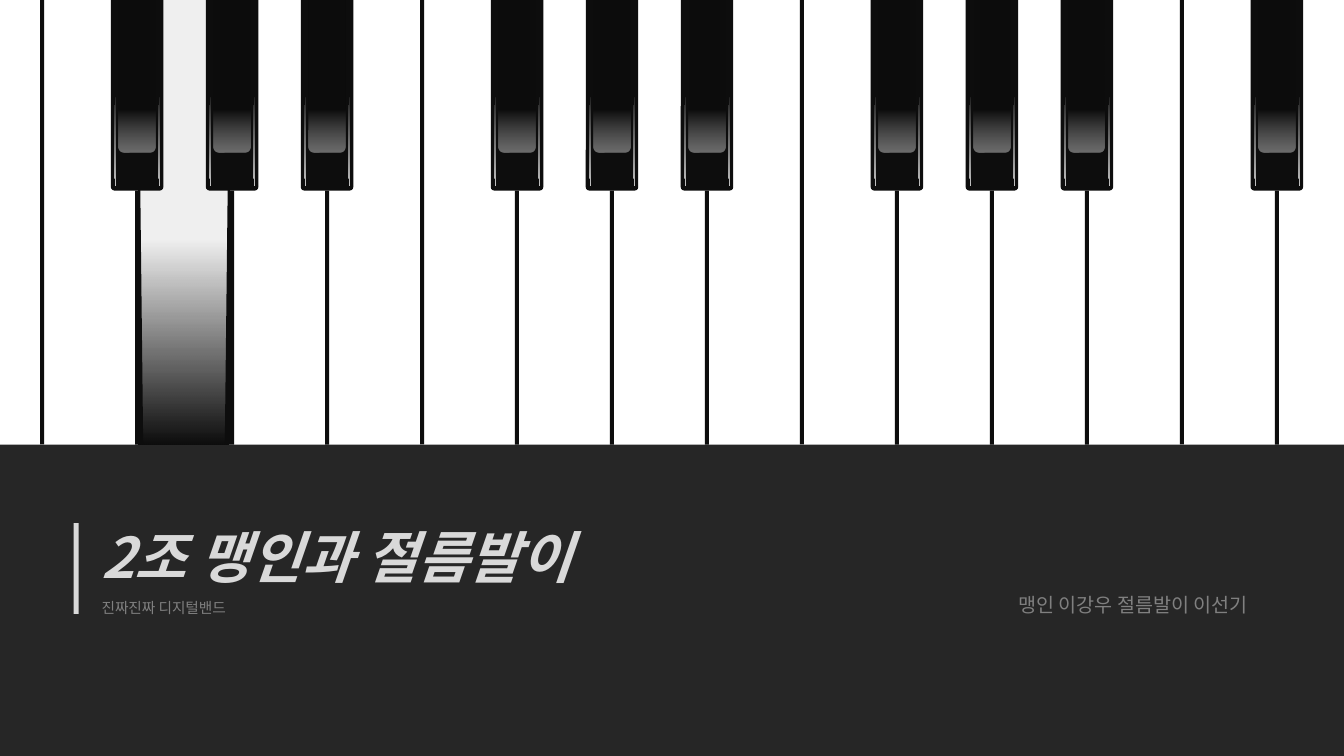
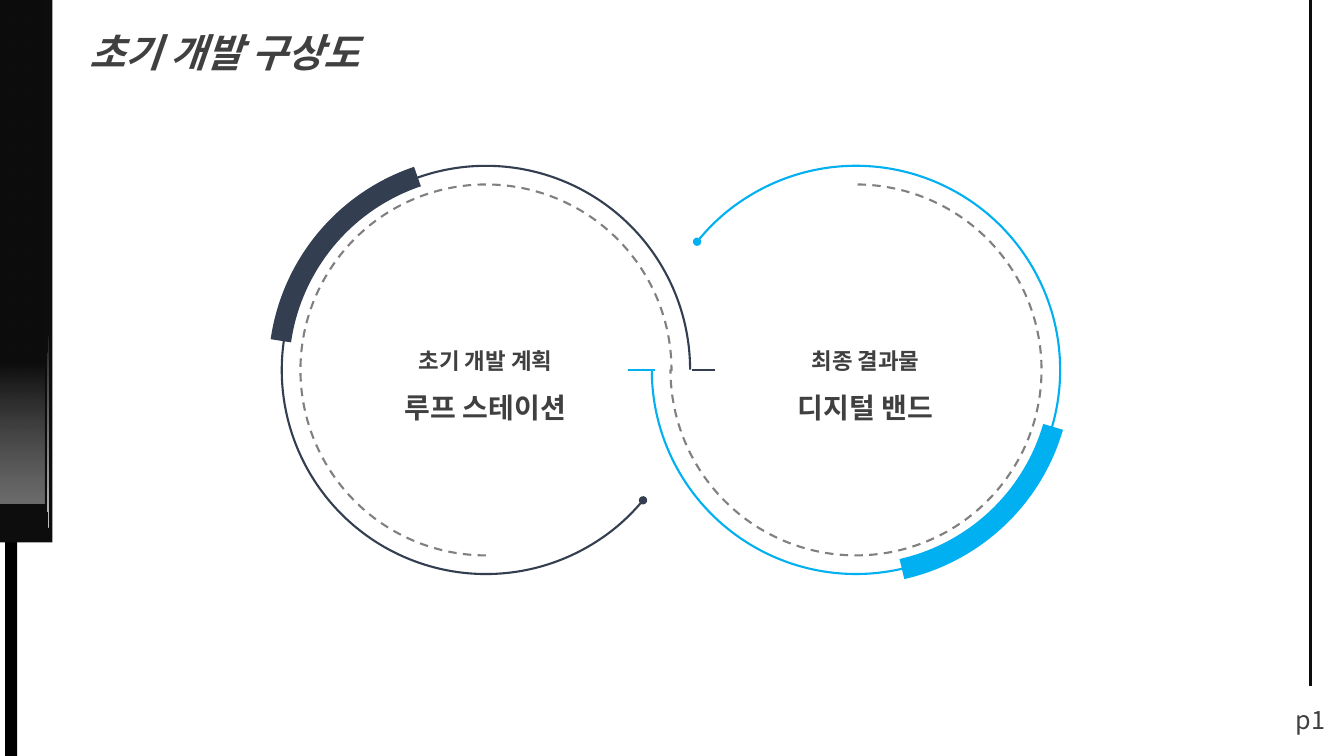
from copy import deepcopy
from dataclasses import dataclass

from lxml import etree
from pptx import Presentation
from pptx.dml.color import RGBColor
from pptx.enum.dml import MSO_LINE
from pptx.enum.shapes import MSO_CONNECTOR, MSO_SHAPE
from pptx.enum.text import MSO_AUTO_SIZE, PP_ALIGN
from pptx.oxml.ns import qn
from pptx.util import Inches, Pt

RECTANGLE = MSO_SHAPE.RECTANGLE
TRIANGLE = MSO_SHAPE.RIGHT_TRIANGLE
ROUND_BOTTOM = MSO_SHAPE.ROUND_2_SAME_RECTANGLE
ELLIPSE = MSO_SHAPE.OVAL
ARC = MSO_SHAPE.ARC
STRAIGHT = MSO_CONNECTOR.STRAIGHT
DASH = MSO_LINE.DASH
LEFT, CENTER, RIGHT = PP_ALIGN.LEFT, PP_ALIGN.CENTER, PP_ALIGN.RIGHT
FIT_SHAPE = MSO_AUTO_SIZE.SHAPE_TO_FIT_TEXT


@dataclass(frozen=True)
class Theme:
    font: str = "Noto Sans CJK KR"
    white: str = "FFFFFF"
    black: str = "000000"
    ebony: str = "0D0D0D"
    panel: str = "262626"
    pale: str = "D9D9D9"
    muted: str = "808080"
    ink: str = "404040"
    navy: str = "333F50"
    cyan: str = "00B0F0"
    cover_size: float = 40
    title_size: float = 28
    result_size: float = 20
    number_size: float = 18
    caption_size: float = 16
    author_size: float = 14
    subtitle_size: float = 10.5
    thin_line: float = 1.5
    edge_line: float = 2
    thick_line: float = 14.75


THEME = Theme()


@dataclass(frozen=True)
class Area:
    left: float
    top: float
    width: float
    height: float

    def lengths(self) -> tuple:
        return tuple(Inches(n) for n in (self.left, self.top, self.width, self.height))


@dataclass(frozen=True)
class Stop:
    position: float
    color: str
    opacity: int


@dataclass(frozen=True)
class Gradient:
    start: Stop
    end: Stop
    angle: int


@dataclass(frozen=True)
class Span:
    text: str
    size: float
    color: str
    bold: bool = False
    italic: bool = False


@dataclass(frozen=True)
class Ring:
    center_x: float
    diameter: float
    start: float
    end: float
    color: str
    width: float = THEME.thin_line
    dashed: bool = False
    dotted: bool = False


@dataclass(frozen=True)
class Stage:
    left: float
    caption: str
    result: str


@dataclass(frozen=True)
class Rule:
    start: tuple[float, float]
    end: tuple[float, float]
    color: str
    width: float = THEME.thin_line


GLOSS = Gradient(Stop(0.72, THEME.ebony, 52), Stop(1, THEME.white, 39), 270)
SHINE = Gradient(Stop(0, THEME.white, 9), Stop(1, THEME.white, 76), 270)
PRESSED = Gradient(Stop(0, THEME.ebony, 100), Stop(0.46, THEME.ebony, 6), 90)

KEY_HEIGHT = 4.41
BLACK_HEIGHT = 1.89
FIRST_BLACK = 1.1
KEY_PITCH = 0.942
SEAM_OFFSET = 0.24
SEAM_WIDTH = 0.04

LOOP_Y = 3.67
LEFT_LOOP, RIGHT_LOOP = 4.82, 8.49
INNER, OUTER = 3.68, 4.05
RINGS = (
    Ring(LEFT_LOOP, INNER, 90, 0.3, THEME.muted, dashed=True),
    Ring(RIGHT_LOOP, INNER, 270.5, 180.2, THEME.muted, dashed=True),
    Ring(RIGHT_LOOP, OUTER, 218.9, 180.2, THEME.cyan, dotted=True),
    Ring(LEFT_LOOP, OUTER, 39.7, 359.9, THEME.navy, dotted=True),
    Ring(LEFT_LOOP - 0.03, OUTER, 188.2, 251.3, THEME.navy, THEME.thick_line),
    Ring(RIGHT_LOOP + 0.01, OUTER, 16.2, 77.3, THEME.cyan, THEME.thick_line),
)
RULES = (
    Rule((13, 0), (13, 6.81), THEME.ebony, THEME.edge_line),
    Rule((6.86, LOOP_Y), (7.09, LOOP_Y), THEME.navy),
    Rule((6.23, LOOP_Y), (6.5, LOOP_Y), THEME.cyan),
)
STAGES = (
    Stage(3.44, "초기 개발 계획", "루프 스테이션"),
    Stage(7.21, "최종 결과물", "디지털 밴드"),
)


def add_filled(shapes, kind, area: Area, fill: str | Gradient, corner: float = 0):
    shape = shapes.add_shape(kind, *area.lengths())
    shape.shadow.inherit = False
    shape.line.fill.background()
    if kind == ROUND_BOTTOM:
        shape.adjustments[0] = 0
        shape.adjustments[1] = corner
    if isinstance(fill, Gradient):
        apply_gradient(shape, fill)
    else:
        shape.fill.solid()
        shape.fill.fore_color.rgb = RGBColor.from_string(fill)
    return shape


def apply_gradient(shape, gradient: Gradient) -> None:
    shape.fill.gradient()
    shape.fill.gradient_angle = gradient.angle
    stops = (gradient.start, gradient.end)
    for target, stop in zip(shape.fill.gradient_stops, stops):
        target.position = stop.position
        target.color.rgb = RGBColor.from_string(stop.color)
    for color, stop in zip(shape.element.spPr.iter(qn("a:srgbClr")), stops):
        etree.SubElement(color, qn("a:alpha")).set("val", str(stop.opacity * 1000))


def format_span(run, span: Span) -> None:
    run.font.name = THEME.font
    run.font.size = Pt(span.size)
    run.font.bold = span.bold
    run.font.italic = span.italic
    run.font.color.rgb = RGBColor.from_string(span.color)
    properties = run.font._element
    etree.SubElement(properties, qn("a:ea")).set("typeface", THEME.font)


def add_text(page, area: Area, paragraphs: list[list[Span]], align=LEFT, spacing: float = 1.0) -> None:
    box = page.shapes.add_textbox(*area.lengths())
    frame = box.text_frame
    frame.word_wrap = True
    frame.auto_size = FIT_SHAPE
    frame.text = "\n".join("\v".join(span.text for span in spans) for spans in paragraphs)
    for paragraph, spans in zip(frame.paragraphs, paragraphs):
        paragraph.alignment = align
        paragraph.line_spacing = spacing
        for run, span in zip(paragraph.runs, spans):
            format_span(run, span)
        first_format = paragraph.runs[0].font._element
        for line_break in paragraph._p.findall(qn("a:br")):
            line_break.append(deepcopy(first_format))


def title_span(text: str, size: float, color: str) -> Span:
    return Span(text, size, color, bold=True, italic=True)


def style_line(shape, color: str, width: float) -> None:
    shape.line.color.rgb = RGBColor.from_string(color)
    shape.line.width = Pt(width)


def add_ring(page, ring: Ring) -> None:
    radius = ring.diameter / 2
    area = Area(ring.center_x - radius, LOOP_Y - radius, ring.diameter, ring.diameter)
    arc = page.shapes.add_shape(ARC, *area.lengths())
    arc.shadow.inherit = False
    arc.fill.background()
    for index, degrees in enumerate((ring.start, ring.end)):
        arc.adjustments[index] = degrees * 0.6
    style_line(arc, ring.color, ring.width)
    if ring.dashed:
        arc.line.dash_style = DASH
    if ring.dotted:
        outline = arc.element.spPr.find(qn("a:ln"))
        etree.SubElement(outline, qn("a:headEnd")).set("type", "oval")


def add_rule(page, rule: Rule) -> None:
    ends = (Inches(n) for n in (*rule.start, *rule.end))
    line = page.shapes.add_connector(STRAIGHT, *ends)
    style_line(line, rule.color, rule.width)
    etree.SubElement(line.element.spPr, qn("a:effectLst"))


def add_black_key(shapes, left: float) -> None:
    add_filled(shapes, ROUND_BOTTOM, Area(left, 0, 0.52, BLACK_HEIGHT), THEME.ebony, 0.065)
    add_filled(shapes, ROUND_BOTTOM, Area(left + 0.08, 0, 0.36, 1.51), GLOSS, 0.162)
    for offset in (0.04, 0.47):
        add_filled(shapes, ELLIPSE, Area(left + offset, 0.97, 0.01, 0.87), SHINE)


def add_pressed_key(page) -> None:
    shapes = page.shapes.add_group_shape().shapes
    add_filled(shapes, RECTANGLE, Area(1.37, 0, 0.9, KEY_HEIGHT), PRESSED)
    add_filled(shapes, TRIANGLE, Area(1.37, 0, 0.05, KEY_HEIGHT), THEME.ebony)
    right_edge = add_filled(shapes, TRIANGLE, Area(2.23, 0, 0.05, KEY_HEIGHT), THEME.ebony)
    right_edge.element.spPr.find(qn("a:xfrm")).set("flipH", "1")


def add_keyboard(page) -> None:
    add_pressed_key(page)
    shapes = page.shapes.add_group_shape().shapes
    for slot in range(-1, 13):
        left = FIRST_BLACK + slot * KEY_PITCH
        has_black = slot % 4 != 3
        top = BLACK_HEIGHT if has_black else 0
        seam = Area(left + SEAM_OFFSET, top, SEAM_WIDTH, KEY_HEIGHT - top)
        add_filled(shapes, RECTANGLE, seam, THEME.ebony)
        if has_black:
            add_black_key(shapes, left)


def build_cover(page) -> None:
    add_filled(page.shapes, RECTANGLE, Area(0, KEY_HEIGHT, 13.33, 3.09), THEME.panel)
    heading = [
        [title_span("2조 맹인과 절름발이", THEME.cover_size, THEME.pale)],
        [Span("진짜진짜 디지털밴드", THEME.subtitle_size, THEME.muted)],
    ]
    add_text(page, Area(0.91, 4.8, 5.84, 1.38), heading, spacing=1.5)
    add_filled(page.shapes, RECTANGLE, Area(0.73, 5.19, 0.05, 0.9), THEME.pale)
    authors = Span("맹인 이강우 절름발이 이선기", THEME.author_size, THEME.muted)
    add_text(page, Area(9.15, 5.83, 3.33, 0.34), [[authors]], RIGHT)
    add_keyboard(page)


def add_side_key(page) -> None:
    add_filled(page.shapes, RECTANGLE, Area(0.05, 4.28, 0.12, 3.22), THEME.black)
    shapes = page.shapes.add_group_shape().shapes
    add_filled(shapes, RECTANGLE, Area(0, 0, 0.52, 5.38), THEME.ebony)
    add_filled(shapes, RECTANGLE, Area(0, 0, 0.44, 5), GLOSS)
    add_filled(shapes, ELLIPSE, Area(0.47, 3.34, 0.01, 1.89), SHINE)


def build_concept(page) -> None:
    add_side_key(page)
    title = title_span("초기 개발 구상도", THEME.title_size, THEME.ink)
    add_text(page, Area(0.79, 0, 5.84, 1.01), [[title]], spacing=1.5)
    number = Span("p1", THEME.number_size, THEME.ink)
    add_text(page, Area(12.74, 6.94, 0.52, 0.4), [[number]], CENTER)
    for ring in RINGS:
        add_ring(page, ring)
    for rule in RULES:
        add_rule(page, rule)
    for stage in STAGES:
        caption = Span(stage.caption, THEME.caption_size, THEME.ink, bold=True)
        result = Span(stage.result, THEME.result_size, THEME.ink, bold=True)
        add_text(page, Area(stage.left, 3.26, 2.75, 0.94), [[caption, result]], CENTER, 1.5)


def main() -> None:
    deck = Presentation()
    deck.slide_width = Inches(13.33)
    deck.slide_height = Inches(7.5)
    blank = deck.slide_layouts[6]
    for build in (build_cover, build_concept):
        build(deck.slides.add_slide(blank))
    deck.save("out.pptx")


if __name__ == "__main__":
    main()
